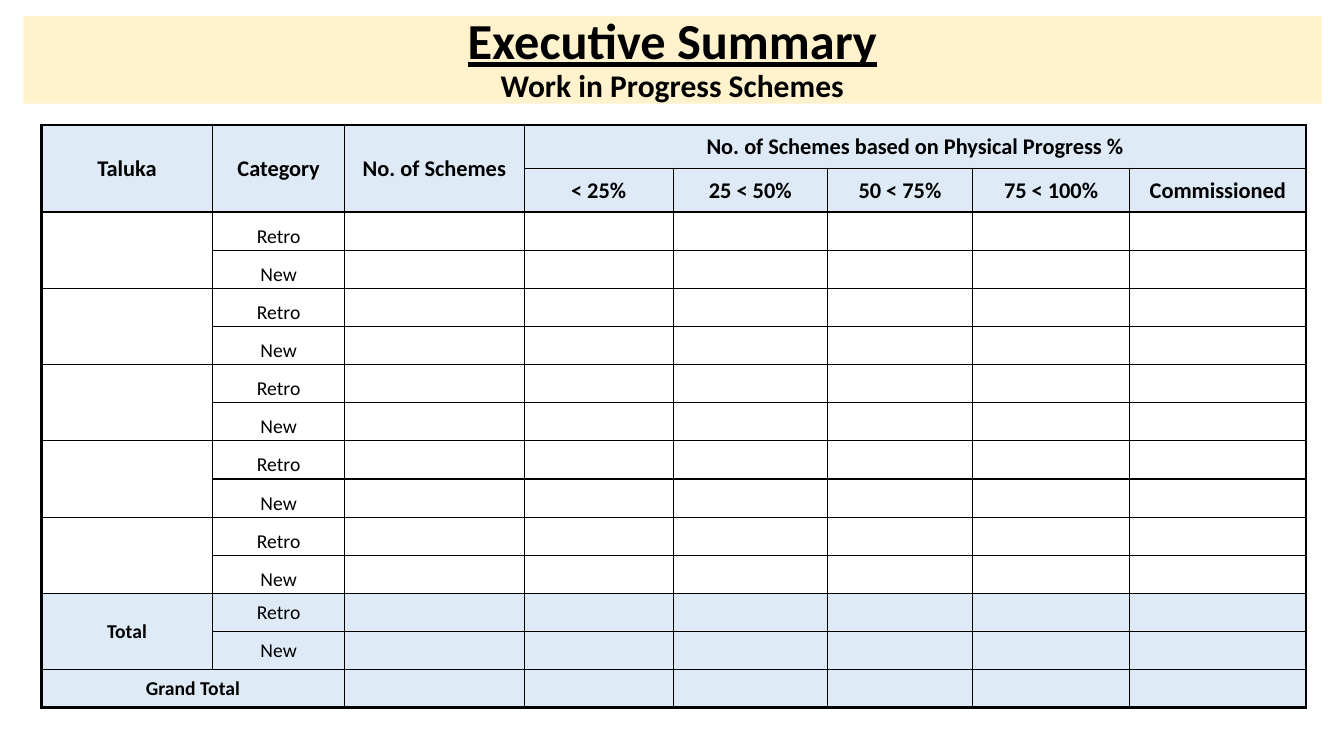
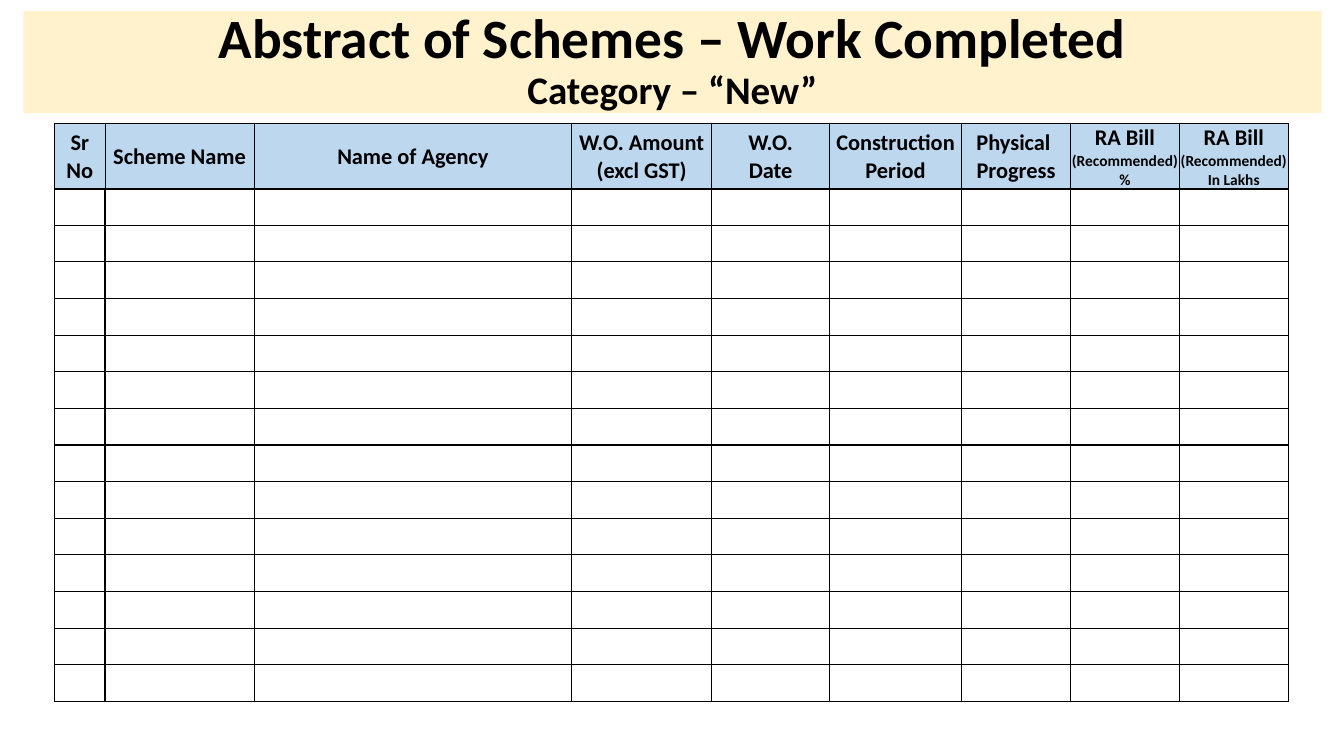
from lxml.etree import SubElement
from pptx import Presentation
from pptx.dml.color import RGBColor
from pptx.enum.text import MSO_ANCHOR, MSO_AUTO_SIZE, PP_ALIGN
from pptx.oxml.ns import qn
from pptx.util import Pt

# Shared look
BLACK = RGBColor(0x00, 0x00, 0x00)
CREAM = RGBColor(0xFF, 0xF2, 0xCC)
PALE_BLUE = RGBColor(0xDE, 0xEB, 0xF7)
SKY_BLUE = RGBColor(0xBD, 0xD7, 0xEE)
FONT = "Calibri"
TITLE_ONLY = 5
BAND_LEFT, BAND_WIDTH = 16.6, 927.4
THICK = 2.25

# Cell styles
EMPTY = {"margin_top": 0, "margin_bottom": 0}
HEADER = {"vertical_anchor": MSO_ANCHOR.MIDDLE, "margin_left": Pt(0.72),
          "margin_right": Pt(0.72), "margin_top": Pt(0.72), "margin_bottom": 0}
LABEL = {"vertical_anchor": MSO_ANCHOR.MIDDLE, "margin_left": Pt(2),
         "margin_right": Pt(2), "margin_top": Pt(1.4), "margin_bottom": Pt(1.4)}
LOW_LABEL = {**LABEL, "vertical_anchor": MSO_ANCHOR.BOTTOM}


def set_attrs(obj, values):
    for name, value in values.items():
        setattr(obj, name, value)


def add_run(p, text, size, bold=True, underline=False):
    r = p.add_run()
    r.text = text
    set_attrs(r.font, {"name": FONT, "size": Pt(size), "bold": bold,
                       "underline": underline})
    r.font.color.rgb = BLACK


def add_break(p, size):
    """Break the line, at the height of the text around it."""
    p.add_line_break()
    SubElement(p._p[-1], qn("a:rPr"), sz=str(int(size * 100)))


def add_slide(prs, top, height, title, subtitle, sizes, underline=False):
    """Add a slide with a two-line title on a cream band."""
    s = prs.slides.add_slide(prs.slide_layouts[TITLE_ONLY])
    sp = s.shapes.title
    set_attrs(sp, {"left": Pt(BAND_LEFT), "top": Pt(top),
                   "width": Pt(BAND_WIDTH), "height": Pt(height)})
    sp.fill.solid()
    sp.fill.fore_color.rgb = CREAM
    tf = sp.text_frame
    set_attrs(tf, {"auto_size": MSO_AUTO_SIZE.NONE, "word_wrap": True,
                   "vertical_anchor": MSO_ANCHOR.MIDDLE})
    p = tf.paragraphs[0]
    set_attrs(p, {"alignment": PP_ALIGN.CENTER, "line_spacing": 0.9})
    add_run(p, title, sizes[0], underline=underline)
    add_break(p, sizes[0])
    add_run(p, subtitle, sizes[1])
    return s


def set_border(cell, side, weight):
    ln = SubElement(cell._tc.get_or_add_tcPr(), qn(f"a:ln{side}"),
                    w=str(Pt(weight)))
    fill = SubElement(ln, qn("a:solidFill"))
    SubElement(fill, qn("a:srgbClr"), val=str(BLACK))


def add_grid(s, left, top, widths, heights, merges=(), weight=1,
             h_lines=None, v_lines=None):
    """Add a ruled empty table; h_lines and v_lines give other line weights."""
    h_lines, v_lines = h_lines or {}, v_lines or {}
    table = s.shapes.add_table(len(heights), len(widths), Pt(left), Pt(top),
                               Pt(sum(widths)), Pt(sum(heights))).table
    set_attrs(table, {"first_row": False, "horz_banding": False})
    for col, width in zip(table.columns, widths):
        col.width = Pt(width)
    for row, height in zip(table.rows, heights):
        row.height = Pt(height)
    for first, last in merges:
        table.cell(*first).merge(table.cell(*last))
    for r in range(len(heights)):
        for c in range(len(widths)):
            cell = table.cell(r, c)
            set_attrs(cell, EMPTY)
            if not cell.is_spanned:
                set_border(cell, "L", v_lines.get(c, weight))
                set_border(cell, "R", v_lines.get(c + cell.span_width, weight))
                set_border(cell, "T", h_lines.get(r, weight))
                set_border(cell, "B", h_lines.get(r + cell.span_height, weight))
            cell.fill.background()
    return table


def fill_rows(table, rows, color):
    for r in rows:
        for cell in table.rows[r].cells:
            cell.fill.solid()
            cell.fill.fore_color.rgb = color


def write_cell(cell, paragraphs, style, bold=True):
    """Write (text, size) paragraphs; a newline in a text breaks the line."""
    set_attrs(cell, style)
    tf = cell.text_frame
    for i, (text, size) in enumerate(paragraphs):
        p = tf.add_paragraph() if i else tf.paragraphs[0]
        p.alignment = PP_ALIGN.CENTER
        for j, line in enumerate(text.split("\n")):
            if j:
                add_break(p, size)
            add_run(p, line, size, bold)


def add_summary(prs):
    s = add_slide(prs, 11.5, 62.6, "Executive Summary",
                  "Work in Progress Schemes", (36, 22.5), underline=True)
    widths = [122.4, 94.3, 128.2, 106.5, 110.2, 103.6, 112.3, 126]
    heights = [31.1] * 2 + [27.25] * 13
    total, grand = 12, 14
    merges = [((0, c), (1, c)) for c in range(3)] + [((0, 3), (0, 7))]
    merges += [((r, 0), (r + 1, 0)) for r in range(2, grand, 2)]
    merges.append(((grand, 0), (grand, 1)))
    table = add_grid(s, 29.5, 89.3, widths, heights, merges,
                     h_lines={0: THICK, 2: THICK, len(heights): THICK},
                     v_lines={0: THICK, len(widths): THICK})
    fill_rows(table, [0, 1, *range(total, grand + 1)], PALE_BLUE)

    # Two-row header
    top_heads = ["Taluka", "Category", "No. of Schemes",
                 "No. of Schemes based on Physical Progress %"]
    progress = ["< 25%", "25 < 50%", "50 < 75%", "75 < 100%", "Commissioned"]
    for c, text in enumerate(top_heads):
        write_cell(table.cell(0, c), [(text, 16)], HEADER)
    for c, text in enumerate(progress, 3):
        write_cell(table.cell(1, c), [(text, 16)], HEADER)

    # Categories and totals
    for r in range(2, grand):
        write_cell(table.cell(r, 1), [(("Retro", "New")[r % 2], 14)],
                   LOW_LABEL if r < total else LABEL, bold=False)
    for r, text in ((total, "Total"), (grand, "Grand Total")):
        write_cell(table.cell(r, 0), [(text, 14)], LABEL)


def add_abstract(prs):
    s = add_slide(prs, 7.9, 72.7, "Abstract of Schemes – Work Completed",
                  "Category – “New”", (39.6, 27.9))
    left, top, head_height = 39, 87.9, 46.8
    widths = [36, 106.6, 226.8, 100, 84.2, 94.3] + [77.8] * 3

    # Header table
    heads = [[("Sr No", 16)], [("Scheme Name", 16)], [("Name of Agency", 16)],
             [("W.O. Amount\n(excl GST)", 16)], [("W.O.\nDate", 16)],
             [("Construction\nPeriod", 16)],
             [("Physical ", 16), ("Progress", 16)]]
    heads += [[("RA Bill", 16), ("(Recommended)", 11), (unit, 11)]
              for unit in ("%", "In Lakhs")]
    header = add_grid(s, left, top, widths, [head_height], weight=0.5,
                      h_lines={1: 1})
    fill_rows(header, [0], SKY_BLUE)
    for c, paragraphs in enumerate(heads):
        write_cell(header.cell(0, c), paragraphs, HEADER)

    # Blank entry rows
    add_grid(s, left, top + head_height, widths, [26.18] * 14)


def main():
    prs = Presentation()
    set_attrs(prs, {"slide_width": Pt(960), "slide_height": Pt(540)})
    add_summary(prs)
    add_abstract(prs)
    prs.save("out.pptx")


if __name__ == "__main__":
    main()
